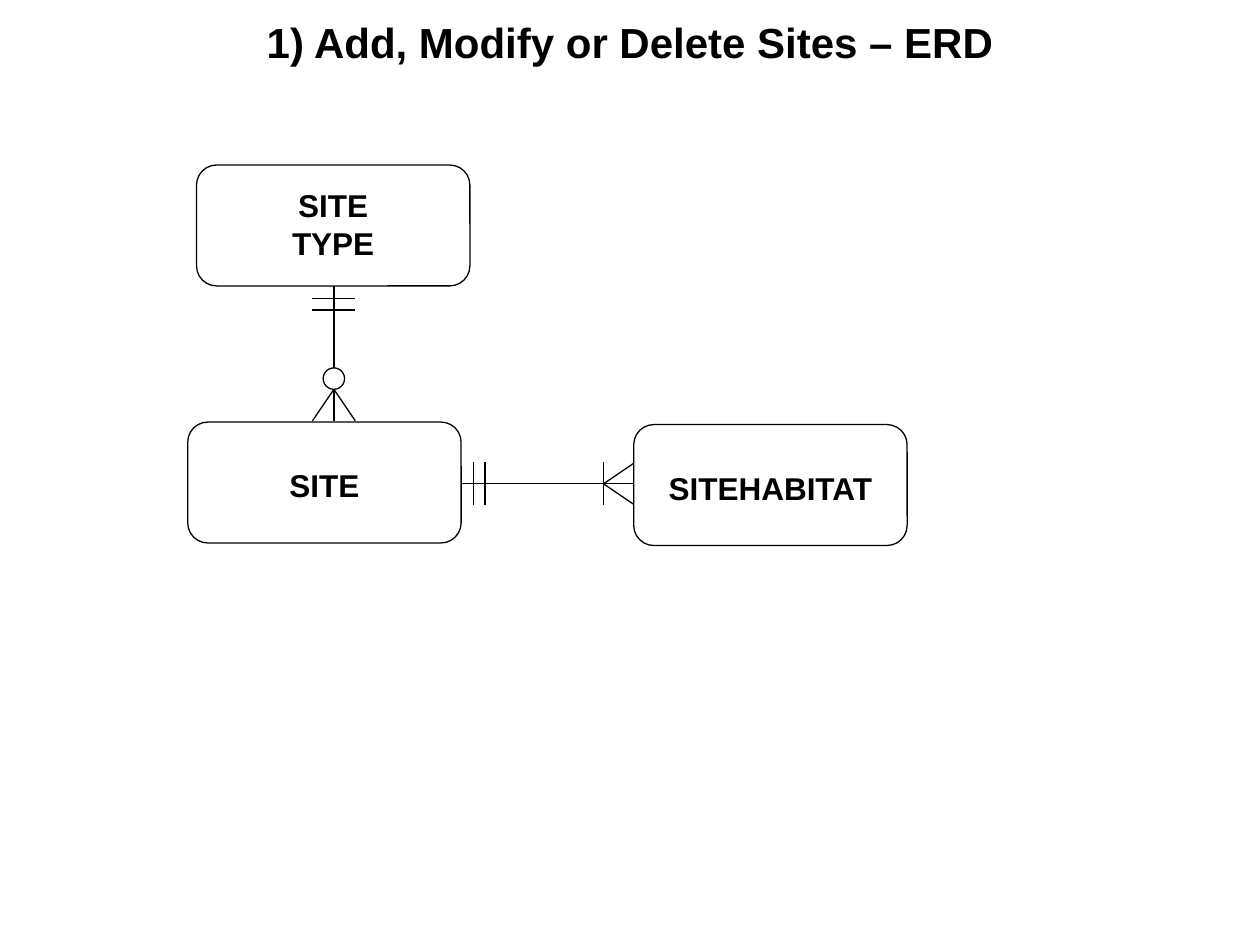
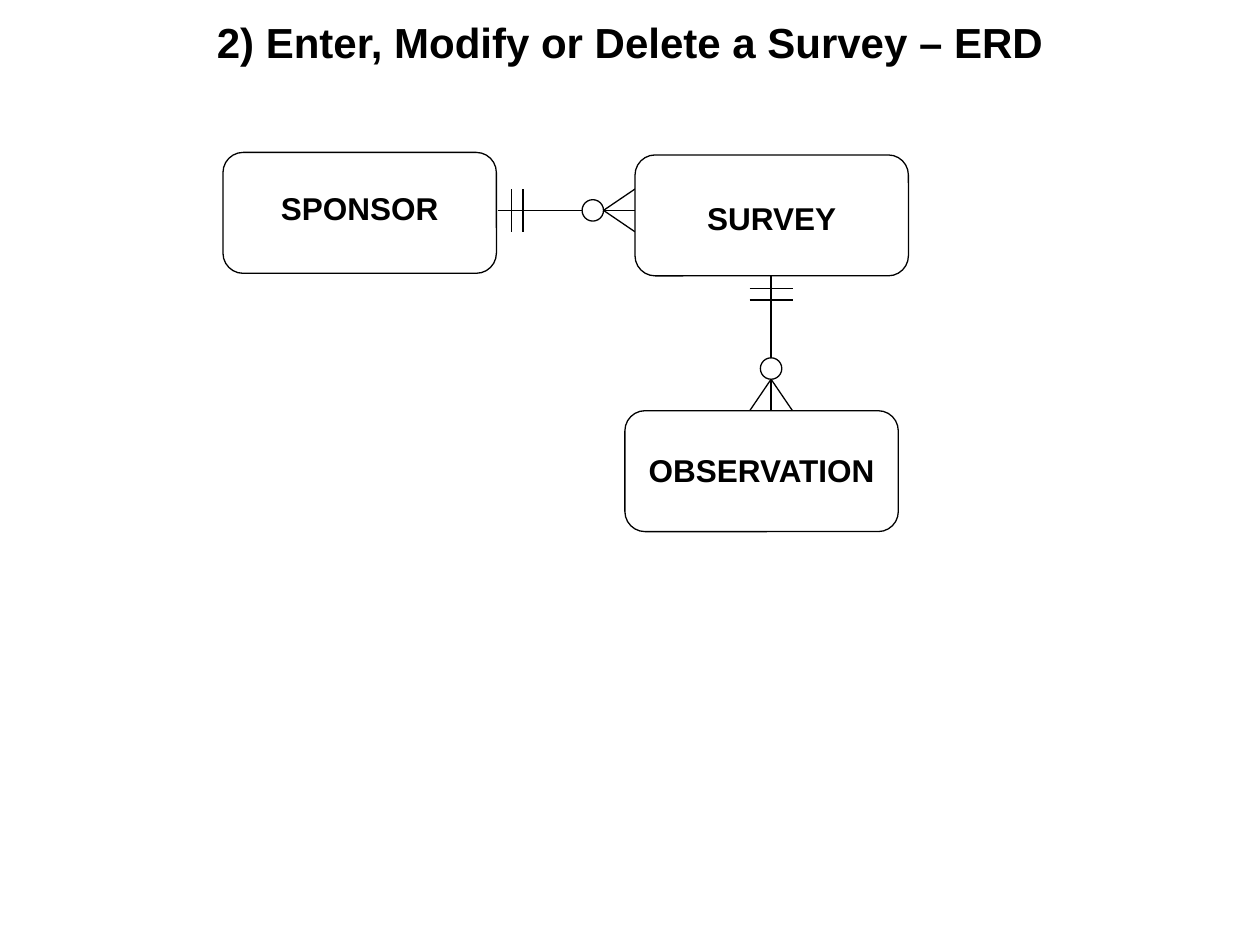
from dataclasses import dataclass

from pptx import Presentation
from pptx import util as u
from pptx.dml import color
from pptx.enum import shapes, text
from pptx.oxml import ns
from lxml import etree

COLORS = {"ink": "000000", "paper": "FFFFFF"}
FONT = "Arial"
TITLE_SIZE = 24
ENTITY_SIZE = 18
LINE_WIDTH = 0.75
ENTITY_WIDTH, ENTITY_HEIGHT = 2.17, 0.96
ENTITY_MARGIN = 0.1
ONE_BARS = (0.11, 0.2)
HALF_SPREAD = 0.17
CROW_FOOT = 0.25
CIRCLE = 0.17


@dataclass
class Entity:
    name: str
    left: float
    top: float
    text_shift: float = 0


@dataclass
class Relationship:
    x: float
    y: float
    length: float
    vertical: bool
    optional: bool = True

    def point(self, along: float, across: float = 0) -> tuple[float, float]:
        if self.vertical:
            return self.x + across, self.y + along
        return self.x + along, self.y + across


@dataclass
class Diagram:
    title: str
    entities: list[Entity]
    relationships: list[Relationship]


DIAGRAMS = [
    Diagram(
        "1) Add, Modify or Delete Sites – ERD",
        [
            Entity("SITE\nTYPE", 1.56, 1.31, -0.01),
            Entity("SITE", 1.49, 3.35, 0.02),
            Entity("SITEHABITAT", 5.03, 3.37, 0.02),
        ],
        [
            Relationship(2.65, 2.26, 1.08, vertical=True),
            Relationship(3.65, 3.84, 1.39, vertical=False, optional=False),
        ],
    ),
    Diagram(
        "2) Enter, Modify or Delete a Survey – ERD",
        [
            Entity("SPONSOR", 1.77, 1.21, -0.04),
            Entity("SURVEY", 5.04, 1.23, 0.02),
            Entity("OBSERVATION", 4.96, 3.26, -0.01),
        ],
        [
            Relationship(6.12, 2.18, 1.08, vertical=True),
            Relationship(3.95, 1.67, 1.09, vertical=False),
        ],
    ),
]


def rgb(name: str) -> color.RGBColor:
    return color.RGBColor.from_string(COLORS[name])


def format_text(text_frame, size: int) -> None:
    for paragraph in text_frame.paragraphs:
        paragraph.alignment = text.PP_ALIGN.CENTER
        for run in paragraph.runs:
            run.font.name = FONT
            run.font.size = u.Pt(size)
            run.font.bold = True
            run.font.color.rgb = rgb("ink")


def format_line(line) -> None:
    line.color.rgb = rgb("ink")
    line.width = u.Pt(LINE_WIDTH)


def add_outlined(container, kind, left: float, top: float, width: float, height: float):
    shape = container.add_shape(
        kind, u.Inches(left), u.Inches(top), u.Inches(width), u.Inches(height)
    )
    shape.shadow.inherit = False
    shape.fill.solid()
    shape.fill.fore_color.rgb = rgb("paper")
    format_line(shape.line)
    return shape


def add_line(container, start: tuple[float, float], end: tuple[float, float]) -> None:
    connector = container.add_connector(
        shapes.MSO_CONNECTOR.STRAIGHT, *map(u.Inches, start + end)
    )
    format_line(connector.line)
    etree.SubElement(connector._element.spPr, ns.qn("a:effectLst"))


def add_title(slide, title: str) -> None:
    shape = slide.shapes.title
    shape.left, shape.top = u.Inches(0), u.Inches(0.08)
    shape.width, shape.height = u.Inches(10), u.Inches(0.5)
    text_frame = shape.text_frame
    text_frame.text = title
    text_frame.auto_size = text.MSO_AUTO_SIZE.NONE
    text_frame.vertical_anchor = text.MSO_ANCHOR.TOP
    format_text(text_frame, TITLE_SIZE)


def add_entity(slide, entity: Entity) -> None:
    shape = add_outlined(
        slide.shapes, shapes.MSO_SHAPE.FLOWCHART_ALTERNATE_PROCESS,
        entity.left, entity.top, ENTITY_WIDTH, ENTITY_HEIGHT,
    )
    text_frame = shape.text_frame
    text_frame.text = entity.name
    text_frame.word_wrap = True
    text_frame.vertical_anchor = text.MSO_ANCHOR.MIDDLE
    text_frame.margin_left = text_frame.margin_right = 0
    text_frame.margin_top = u.Inches(ENTITY_MARGIN + entity.text_shift)
    text_frame.margin_bottom = u.Inches(ENTITY_MARGIN - entity.text_shift)
    format_text(text_frame, ENTITY_SIZE)


def add_relationship(slide, relationship: Relationship) -> None:
    container = slide.shapes.add_group_shape().shapes
    point = relationship.point
    end = relationship.length
    apex = end - CROW_FOOT
    add_line(container, point(0), point(end))
    for side in (-HALF_SPREAD, HALF_SPREAD):
        add_line(container, point(apex), point(end, side))
    bars = ONE_BARS if relationship.optional else (*ONE_BARS, apex)
    for bar in bars:
        add_line(container, point(bar, -HALF_SPREAD), point(bar, HALF_SPREAD))
    if relationship.optional:
        x, y = point(apex - CIRCLE / 2)
        add_outlined(
            container, shapes.MSO_SHAPE.OVAL,
            x - CIRCLE / 2, y - CIRCLE / 2, CIRCLE, CIRCLE,
        )


def add_diagram(presentation, diagram: Diagram) -> None:
    slide = presentation.slides.add_slide(presentation.slide_layouts[5])
    add_title(slide, diagram.title)
    for relationship in diagram.relationships:
        add_relationship(slide, relationship)
    for entity in diagram.entities:
        add_entity(slide, entity)


def main() -> None:
    presentation = Presentation()
    presentation.slide_width = u.Inches(10)
    presentation.slide_height = u.Inches(7.5)
    for diagram in DIAGRAMS:
        add_diagram(presentation, diagram)
    presentation.save("out.pptx")


if __name__ == "__main__":
    main()
